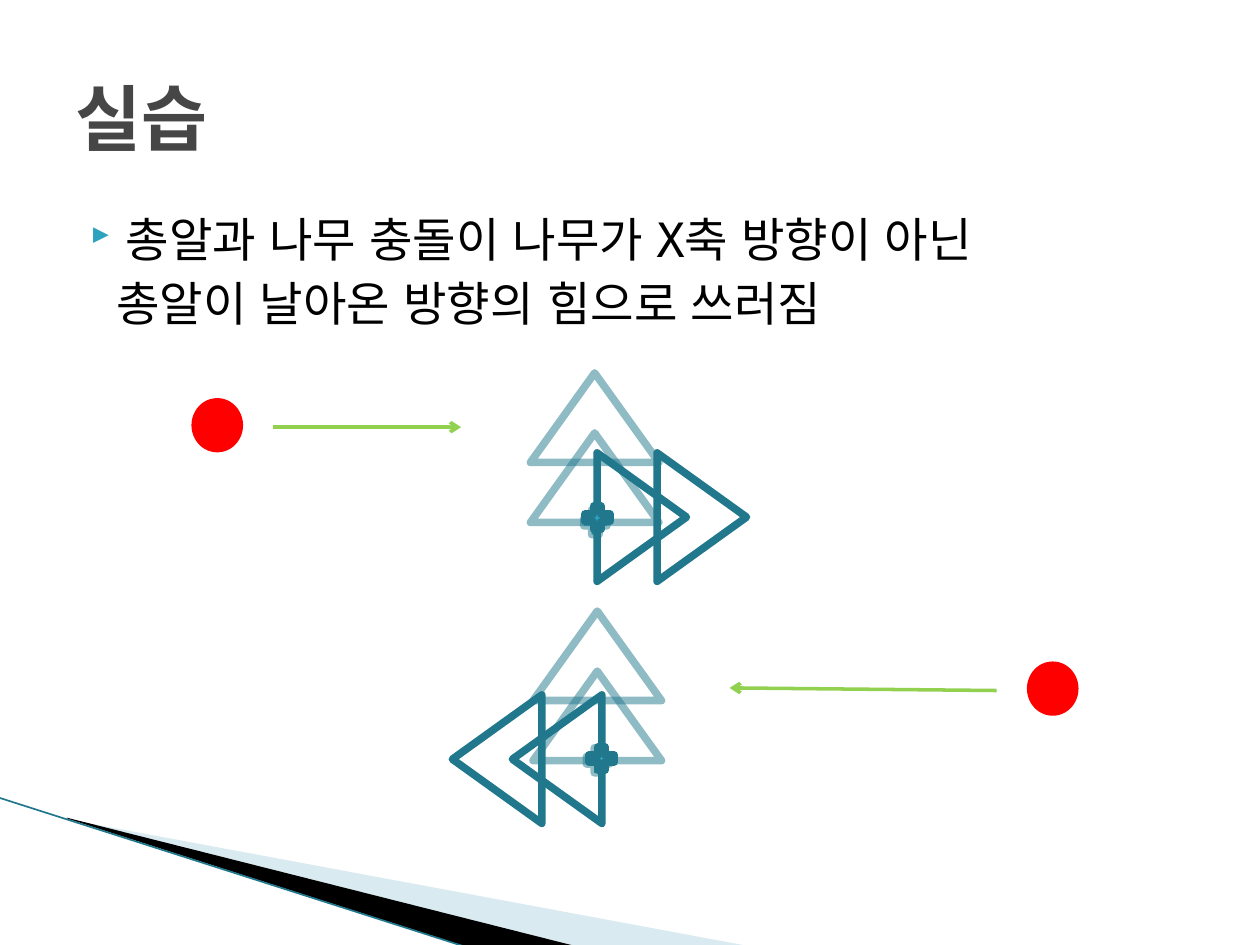
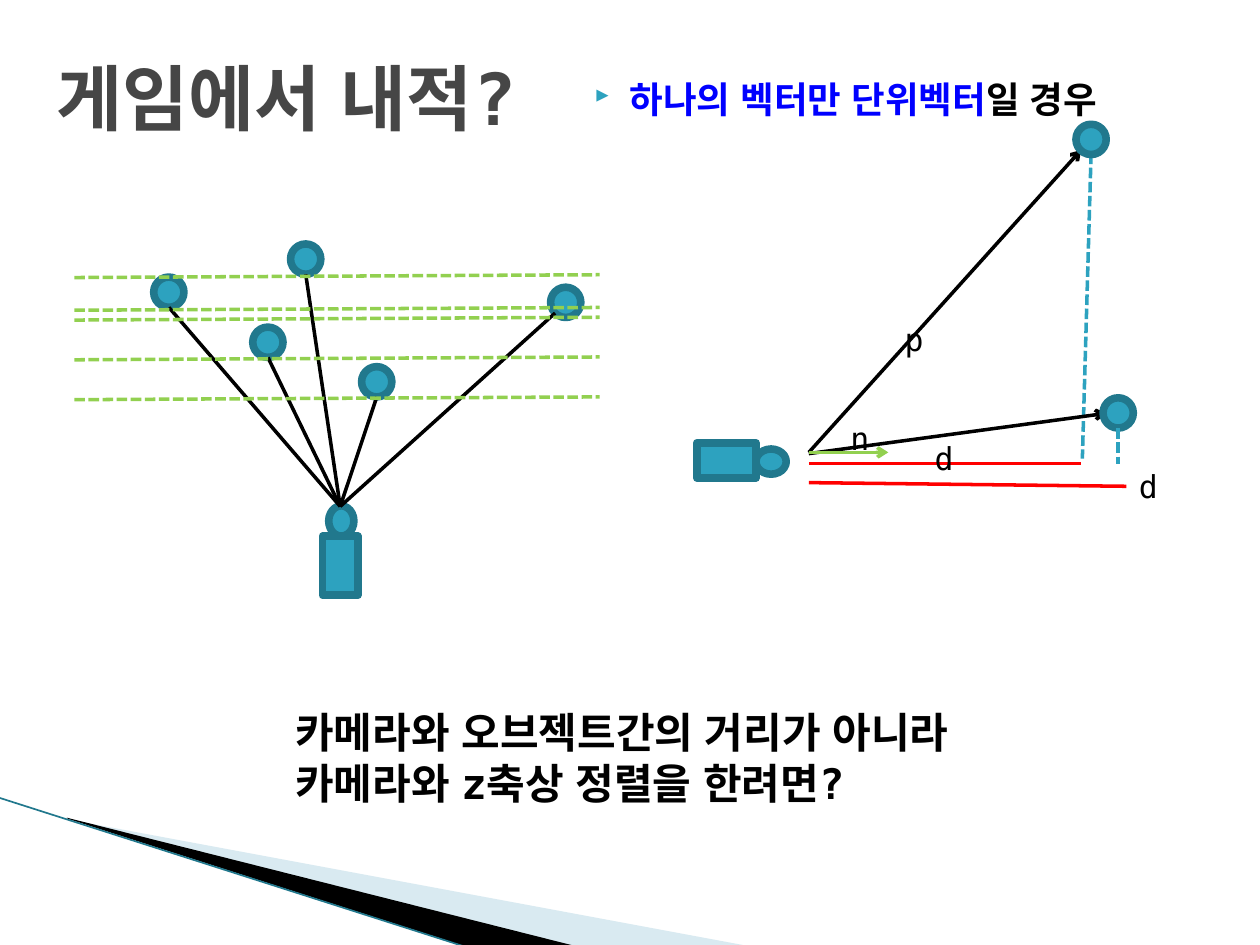
from lxml import etree
from pptx import Presentation
from pptx.dml.color import RGBColor
from pptx.enum.dml import MSO_LINE
from pptx.enum.shapes import MSO_CONNECTOR, MSO_SHAPE
from pptx.enum.text import MSO_ANCHOR
from pptx.oxml.ns import qn
from pptx.util import Pt

STRAIGHT = MSO_CONNECTOR.STRAIGHT
TRIANGLE = MSO_SHAPE.ISOSCELES_TRIANGLE
PLUS = MSO_SHAPE.MATH_PLUS
OVAL = MSO_SHAPE.OVAL
RECT = MSO_SHAPE.RECTANGLE
DASH = MSO_LINE.SQUARE_DOT
TOP, MIDDLE = MSO_ANCHOR.TOP, MSO_ANCHOR.MIDDLE

FONT = "DejaVu Sans Mono"
KOREAN_FONT = "Liberation Sans"
BULLET_FONT = "Wingdings 3"
BLACK = RGBColor(0x00, 0x00, 0x00)
GRAY = RGBColor(0x46, 0x46, 0x46)
TEAL = RGBColor(0x2D, 0xA2, 0xBF)
DARK_TEAL = RGBColor(0x21, 0x78, 0x8D)
PALE_BLUE = RGBColor(0xA0, 0xCB, 0xDC)
RED = RGBColor(0xFF, 0x00, 0x00)
GREEN = RGBColor(0x92, 0xD0, 0x50)
BLUE = RGBColor(0x00, 0x00, 0xFF)

BALL = 17.3
OUTLINE = 4.33


def set_alpha(parent, percent):
    color = parent.find(".//" + qn("a:srgbClr"))
    etree.SubElement(color, qn("a:alpha"), val=str(percent * 1000))


def add_line(s, start, end, color, width=2, dash=None, arrow=False):
    c = s.shapes.add_connector(STRAIGHT, *map(Pt, start + end))
    c.line.color.rgb = color
    c.line.width = Pt(width)
    if dash:
        c.line.dash_style = dash
    if arrow:
        etree.SubElement(c.line._get_or_add_ln(), qn("a:tailEnd"), type="arrow")
    etree.SubElement(c._element.spPr, qn("a:effectLst"))


def add_figure(shapes, kind, left, top, width, height, fill=TEAL, line=DARK_TEAL, alpha=100):
    sp = shapes.add_shape(kind, Pt(left), Pt(top), Pt(width), Pt(height))
    sp.shadow.inherit = False
    if fill is None:
        sp.fill.background()
    else:
        sp.fill.solid()
        sp.fill.fore_color.rgb = fill
    if line is None:
        sp.line.fill.background()
    else:
        sp.line.color.rgb = line
        sp.line.width = Pt(OUTLINE)
        if alpha < 100:
            set_alpha(sp.line._get_or_add_ln(), alpha)


def add_wedge(s, points, color, alpha=100):
    (x, y), *rest = points
    builder = s.shapes.build_freeform(Pt(x), Pt(y))
    builder.add_line_segments([(Pt(px), Pt(py)) for px, py in rest])
    sp = builder.convert_to_shape()
    sp.shadow.inherit = False
    sp.fill.solid()
    sp.fill.fore_color.rgb = color
    sp.line.fill.background()
    if alpha < 100:
        set_alpha(sp._element.spPr, alpha)


def add_text_frame(s, left, top, width, height, anchor=TOP):
    tf = s.shapes.add_textbox(Pt(left), Pt(top), Pt(width), Pt(height)).text_frame
    tf.word_wrap = True
    tf.vertical_anchor = anchor
    return tf


def style(p, size, color=BLACK, bold=False):
    p.font.size = Pt(size)
    p.font.bold = bold
    p.font.name = FONT
    p.font.color.rgb = color
    rpr = p._p.pPr.find(qn("a:defRPr"))
    etree.SubElement(rpr, qn("a:ea"), typeface=KOREAN_FONT)


def indent(p, left, first=0):
    p.space_before = Pt(4)
    ppr = p._p.get_or_add_pPr()
    ppr.set("marL", str(Pt(left)))
    ppr.set("indent", str(Pt(first)))


def add_bullet(p):
    indent(p, 28.8, -20.2)
    rpr = p._p.pPr.find(qn("a:defRPr"))
    color = etree.Element(qn("a:buClr"))
    etree.SubElement(color, qn("a:srgbClr"), val=str(TEAL))
    rpr.addprevious(color)
    rpr.addprevious(etree.Element(qn("a:buSzPct"), val="68000"))
    rpr.addprevious(etree.Element(qn("a:buFont"), typeface=BULLET_FONT, charset="2"))
    rpr.addprevious(etree.Element(qn("a:buChar"), char="}"))


def add_text(s, left, top, width, height, lines, size, color=BLACK, bold=False, anchor=TOP):
    tf = add_text_frame(s, left, top, width, height, anchor)
    for i, line in enumerate(lines):
        p = tf.add_paragraph() if i else tf.paragraphs[0]
        p.text = line
        style(p, size, color, bold)
    return tf


def add_title(s, left, top, text):
    add_text(s, left, top, 648, 90, [text], 41, GRAY, True, MIDDLE)


def add_slide(prs):
    s = prs.slides.add_slide(prs.slide_layouts[6])
    add_wedge(s, [(39.6, 468.4), (428.4, 540.7), (328.3, 540.7), (39.6, 468)], PALE_BLUE, 40)
    add_wedge(s, [(38.2, 467.3), (329, 540.7), (267.8, 541.4), (38.9, 468)], BLACK)
    add_line(s, (-0.7, 455.8), (267.1, 541.4), DARK_TEAL, 0.95)
    return s


def add_tree(s, left, top, rotation=0, alpha=100):
    group = s.shapes.add_group_shape()
    for offset in (34.3, 0):
        add_figure(group.shapes, TRIANGLE, left, top + offset, 73.4, 51.1, None, alpha=alpha)
    add_figure(group.shapes, PLUS, left + 28.1, top + 75.6, 18, 19.4, alpha=alpha)
    group.rotation = rotation


def add_camera(s, left, top, rotation=0):
    group = s.shapes.add_group_shape()
    add_figure(group.shapes, RECT, left, top, 33.8, 20.2)
    add_figure(group.shapes, OVAL, left + 33.8, top + 3.6, 17.3, 14.4)
    group.rotation = rotation


def add_ball(s, x, y):
    add_figure(s.shapes, OVAL, x - BALL / 2, y - BALL / 2, BALL, BALL)


def add_bullet_shot(s, left, top, start, end):
    add_figure(s.shapes, OVAL, left, top, 29.5, 31, RED, None)
    add_line(s, start, end, GREEN, arrow=True)


def build_practice(prs):
    s = add_slide(prs)
    lines = ["총알과 나무 충돌이 나무가 X축 방향이 아닌", "총알이 날아온 방향의 힘으로 쓰러짐"]
    tf = add_text(s, 36, 116.6, 648, 85.7, lines, 27)
    add_bullet(tf.paragraphs[0])
    indent(tf.paragraphs[1], 23.4)
    add_title(s, 36, 21.6, "실습")
    add_tree(s, 303.1, 213.1, alpha=50)
    add_bullet_shot(s, 109.4, 227.5, (156.2, 244.1), (263.5, 244.1))
    add_tree(s, 342.4, 248, 90)
    add_tree(s, 304.6, 349.2, alpha=50)
    add_bullet_shot(s, 586.8, 378, (569.5, 394.6), (416.9, 393.1))
    add_tree(s, 269.3, 386.3, 270)


def draw_depth_view(s):
    add_camera(s, 168.8, 304.5, 270)
    lens = (194.4, 289.4)
    below, corner = (0, BALL / 2), (-6.1, 6.1)
    balls = [
        (96.5, 167, below),
        (153.1, 195.6, below),
        (174.7, 148.1, below),
        (215.3, 218.2, below),
        (323.3, 172.8, corner),
    ]
    for x, y, _ in balls:
        add_ball(s, x, y)
    for x, y, (dx, dy) in balls:
        add_line(s, (x + dx, y + dy), lens, BLACK)
    for y in (228.4, 205.6, 182.9, 177.3, 158.6):
        add_line(s, (42.5, y), (342.7, y - 1.6), GREEN, dash=DASH)


def draw_projection(s):
    x, y = 462.2, 258.5
    add_line(s, (x, y), (617.8, 85.7), BLACK, arrow=True)
    add_line(s, (623.5, 87.8), (618.5, 262.1), TEAL, dash=DASH)
    add_line(s, (x, 265), (617.8, 265), RED)
    add_camera(s, 398.2, 253)
    add_ball(s, 623.5, 79.7)
    add_line(s, (x, y + 0.7), (632.2, 236.2), BLACK, arrow=True)
    add_line(s, (x, y), (507.6, y), GREEN, arrow=True)
    add_ball(s, 639, 236)
    add_line(s, (639, 244.8), (639, 265), TEAL, dash=DASH)
    add_line(s, (x, 275.8), (643.7, 277.9), RED)
    for text, left, top in (
        ("n", 478.8, 236),
        ("p", 509.8, 179.3),
        ("d", 527, 247.4),
        ("d", 643.7, 263.5),
    ):
        add_text(s, left, top, 25.9, 28.8, [text], 18)


def build_dot_product(prs):
    s = add_slide(prs)
    add_title(s, 25.2, 10.1, "게임에서 내적?")
    tf = add_text(s, 324, 40.3, 347.8, 31, ["하나의 벡터만 단위벡터"], 20.9, BLACK, True)
    p = tf.paragraphs[0]
    p.runs[0].font.color.rgb = BLUE
    r = p.add_run()
    r.text = "일 경우"
    add_bullet(p)
    draw_depth_view(s)
    lines = ["카메라와 오브젝트간의 거리가 아니라", "카메라와 z축상 정렬을 한려면?"]
    add_text(s, 161.6, 400.3, 425.5, 65.5, lines, 24, BLACK, True)
    draw_projection(s)


def main():
    prs = Presentation()
    prs.slide_width, prs.slide_height = Pt(720), Pt(540)
    build_practice(prs)
    build_dot_product(prs)
    prs.save("out.pptx")


main()
